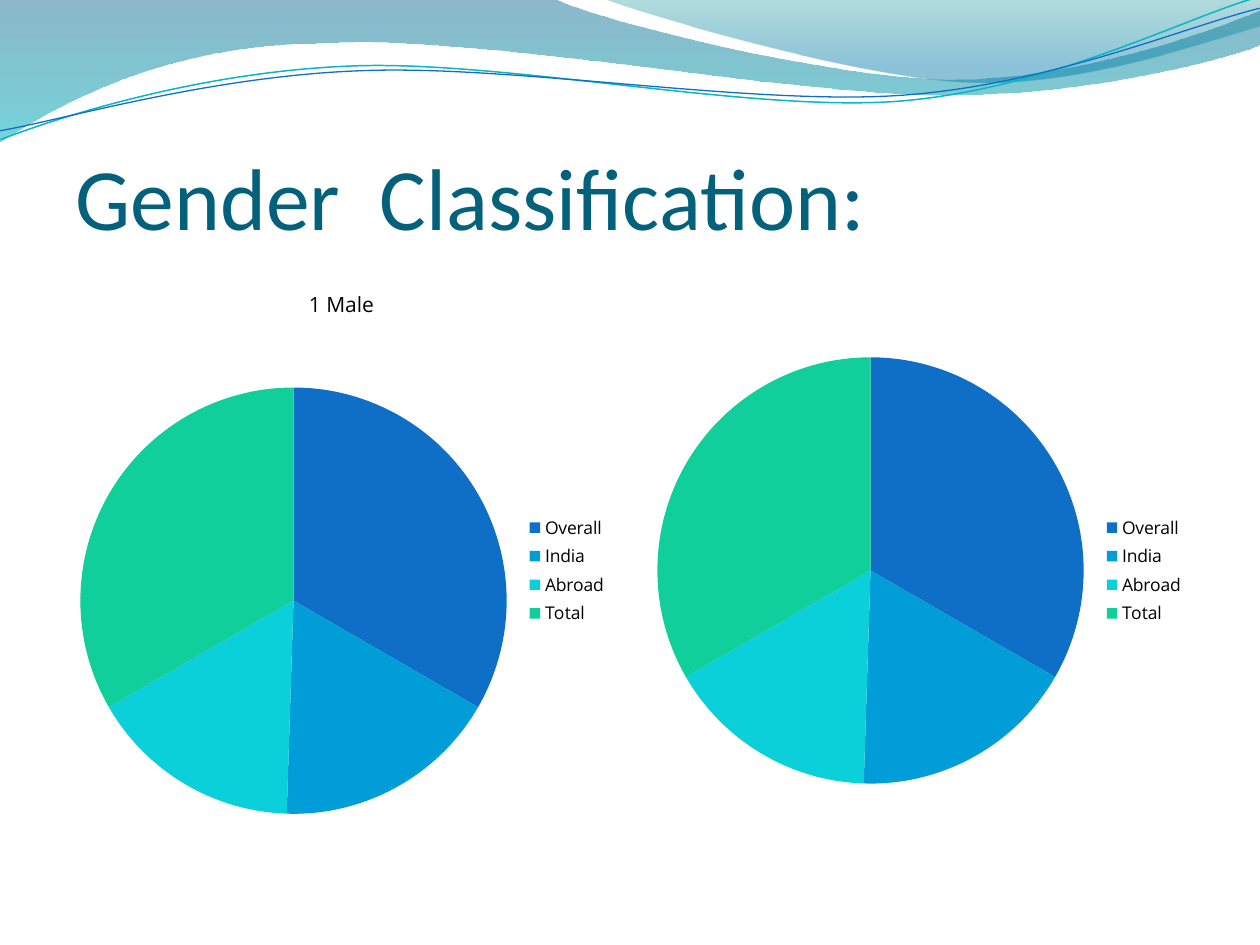
from lxml import etree
from pptx import Presentation, util as u
from pptx.chart import data
from pptx.dml.color import RGBColor
from pptx.enum import chart as ch, text
from pptx.oxml.ns import qn

SCALE = 914400 / 126
COLORS = {
    "title": "04617B", "text": "000000", "paper": "FFFFFF",
    "deep": "00638A", "aqua": "00B4BC", "teal": "008990", "blue": "007CAC",
    "teal_line": "08B7BF", "blue_line": "0F6FC6",
}
SLICES = {"Overall": "0F6FC6", "India": "009DD9", "Abroad": "0BD0D9", "Total": "10CF9B"}
SHARES = [(33, 17, 16, 33), (33, 20, 14, 33), (33, 18, 15, 33),
          (33, 20, 14, 33), (33, 18, 15, 33)]
BROAD_WAVE = [
    (0, 0), (554, -1), (600, 21, 835, 79, 955, 79), (1075, 79, 1207, 33, 1260, 11),
    (1261, 45), (1238, 55, 1096, 96, 940, 95), (784, 94, 481, 35, 324, 43),
    (163, 44, 58, 105, -1, 142), (0, 0),
]
RIGHT_WAVE = [(604, -1), (641, 14, 859, 78, 969, 82), (1079, 87, 1211, 40, 1260, 26),
              (1260, 0), (604, -1)]
TEAL_CURVE = [(-2, 110), (58, 90, 199, 52, 349, 53), (500, 53, 745, 118, 896, 114),
              (1049, 109, 1184, 45, 1260, 27)]
BLUE_CURVE = [(-2, 101), (57, 94, 207, 57, 357, 58), (509, 58, 750, 112, 902, 108),
              (1052, 104, 1189, 52, 1262, 38)]


def px(n):
    return u.Emu(round(n * SCALE))


def rgb(name):
    return RGBColor.from_string(COLORS[name])


def bend(sp, line, seg):
    curve = etree.Element(qn("a:cubicBezTo"))
    for x, y in zip(seg[::2], seg[1::2]):
        pt = etree.SubElement(curve, qn("a:pt"))
        pt.set("x", str(px(x) - sp.left))
        pt.set("y", str(px(y) - sp.top))
    line.getparent().replace(line, curve)


def add_outline(slide, path, close):
    ends = [(px(seg[-2]), px(seg[-1])) for seg in path]
    builder = slide.shapes.build_freeform(*ends[0], scale=1.0)
    builder.add_line_segments(ends[1:], close=close)
    sp = builder.convert_to_shape()
    sp.shadow.inherit = False
    for line, seg in zip(list(sp._element.iter(qn("a:lnTo"))), path[1:]):
        if len(seg) == 6:
            bend(sp, line, seg)
    return sp


def add_wave(slide, path, stops):
    sp = add_outline(slide, path, True)
    sp.line.fill.background()
    sp.fill.gradient()
    sp.fill.gradient_angle = 270
    for stop, (position, color, _) in zip(sp.fill.gradient_stops, stops):
        stop.position = position
        stop.color.rgb = rgb(color)
    for clr, (_, _, opacity) in zip(sp._element.spPr.iter(qn("a:srgbClr")), stops):
        etree.SubElement(clr, qn("a:alpha")).set("val", str(opacity * 1000))


def add_curve(slide, path, color, width):
    sp = add_outline(slide, path, False)
    sp.rotation = 357.3
    sp.fill.background()
    sp.line.color.rgb = rgb(color)
    sp.line.width = u.Pt(width)


def format_font(font, size, color, name, bold=False):
    font.size, font.name, font.bold = u.Pt(size), name, bold
    font.color.rgb = rgb(color)


def write_text(tf, content, **font):
    p = tf.paragraphs[0]
    r = p.add_run()
    r.text = content
    format_font(r.font, **font)
    return p


def add_title(slide, content):
    sp = slide.shapes.title
    sp.left, sp.top, sp.width, sp.height = px(63), px(97), px(1134), px(157)
    tf = sp.text_frame
    tf.word_wrap = True
    tf.auto_size = text.MSO_AUTO_SIZE.NONE
    tf.vertical_anchor = text.MSO_ANCHOR.BOTTOM
    p = write_text(tf, content, size=50, color="title", name="Calibri")
    p.alignment = text.PP_ALIGN.LEFT


def fill_chart_area(parent, before):
    sp_pr = etree.Element(qn("c:spPr"))
    fill = etree.SubElement(sp_pr, qn("a:solidFill"))
    etree.SubElement(fill, qn("a:srgbClr")).set("val", COLORS["paper"])
    line = etree.SubElement(sp_pr, qn("a:ln"))
    etree.SubElement(line, qn("a:noFill"))
    following = parent.find(qn(before)) if before else None
    if following is None:
        parent.append(sp_pr)
    else:
        following.addprevious(sp_pr)


def add_pie(slide, left, shares, title=None):
    chart_data = data.CategoryChartData()
    chart_data.categories = list(SLICES)
    for i, values in enumerate(shares, 1):
        chart_data.add_series(f"Series {i}", values)
    chart = slide.shapes.add_chart(ch.XL_CHART_TYPE.PIE, px(left), px(265), px(557),
                                   px(611), chart_data).chart
    chart.replace_data(chart_data)
    format_font(chart.font, 10, "text", "Open Sans")
    chart.has_title = title is not None
    if title:
        write_text(chart.chart_title.text_frame, title,
                   size=12, color="text", name="Open Sans")
        chart.chart_title.include_in_layout = False
    chart.has_legend = True
    chart.legend.position = ch.XL_LEGEND_POSITION.RIGHT
    chart.legend.include_in_layout = False
    format_font(chart.legend.font, 10, "text", "Open Sans")
    plot = chart.plots[0]
    plot.vary_by_categories = True
    for series in plot.series:
        for i, color in enumerate(SLICES.values()):
            fmt = series.points[i].format
            fmt.fill.solid()
            fmt.fill.fore_color.rgb = RGBColor.from_string(color)
            fmt.line.fill.background()
    space = chart._chartSpace
    fill_chart_area(space.chart.plotArea, None)
    fill_chart_area(space, "c:txPr")


def main():
    prs = Presentation()
    prs.slide_width, prs.slide_height = px(1260), px(945)
    slide = prs.slides.add_slide(prs.slide_layouts[5])
    add_wave(slide, BROAD_WAVE, [(0, "deep", 45), (1, "aqua", 55)])
    add_wave(slide, RIGHT_WAVE, [(0, "teal", 30), (0.8, "blue", 45)])
    add_curve(slide, TEAL_CURVE, "teal_line", 0.85)
    add_curve(slide, BLUE_CURVE, "blue_line", 0.75)
    add_title(slide, "Gender  Classification:")
    add_pie(slide, 63, SHARES[:3], "1 Male")
    add_pie(slide, 640, SHARES)
    prs.save("out.pptx")


if __name__ == "__main__":
    main()
